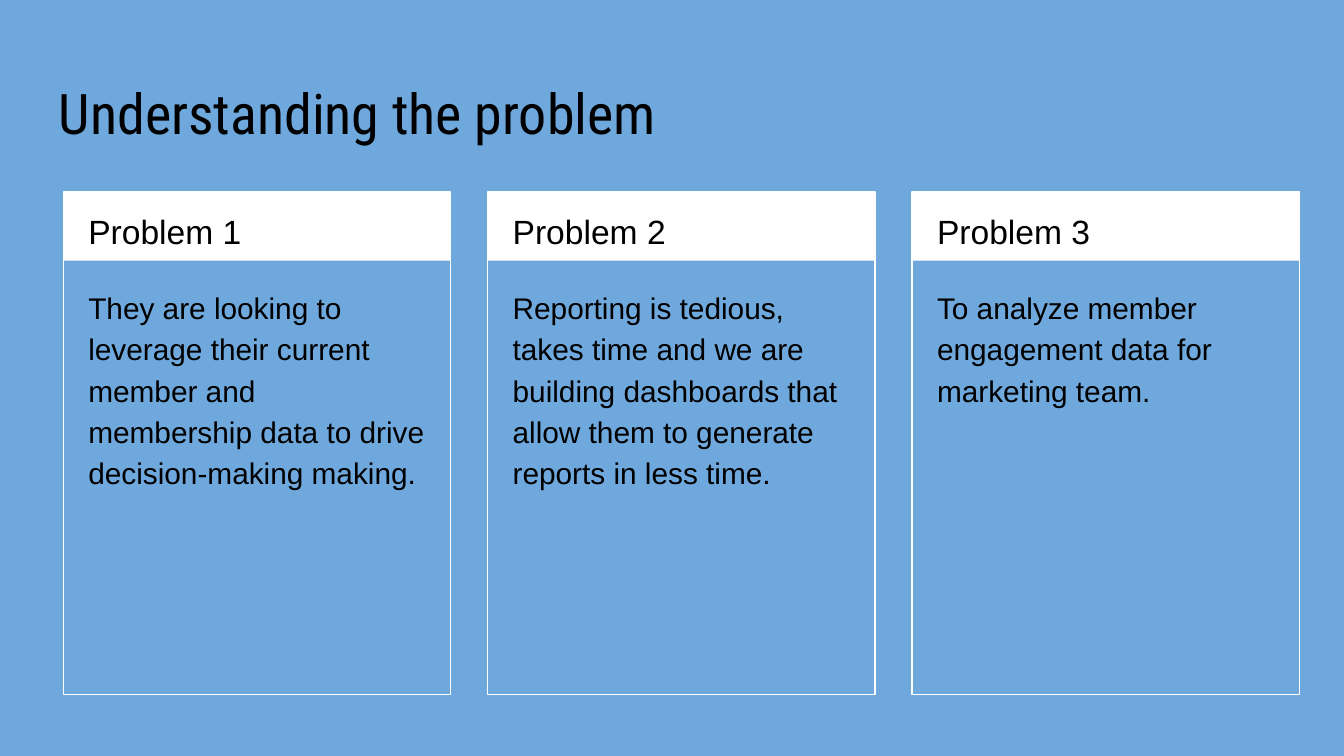
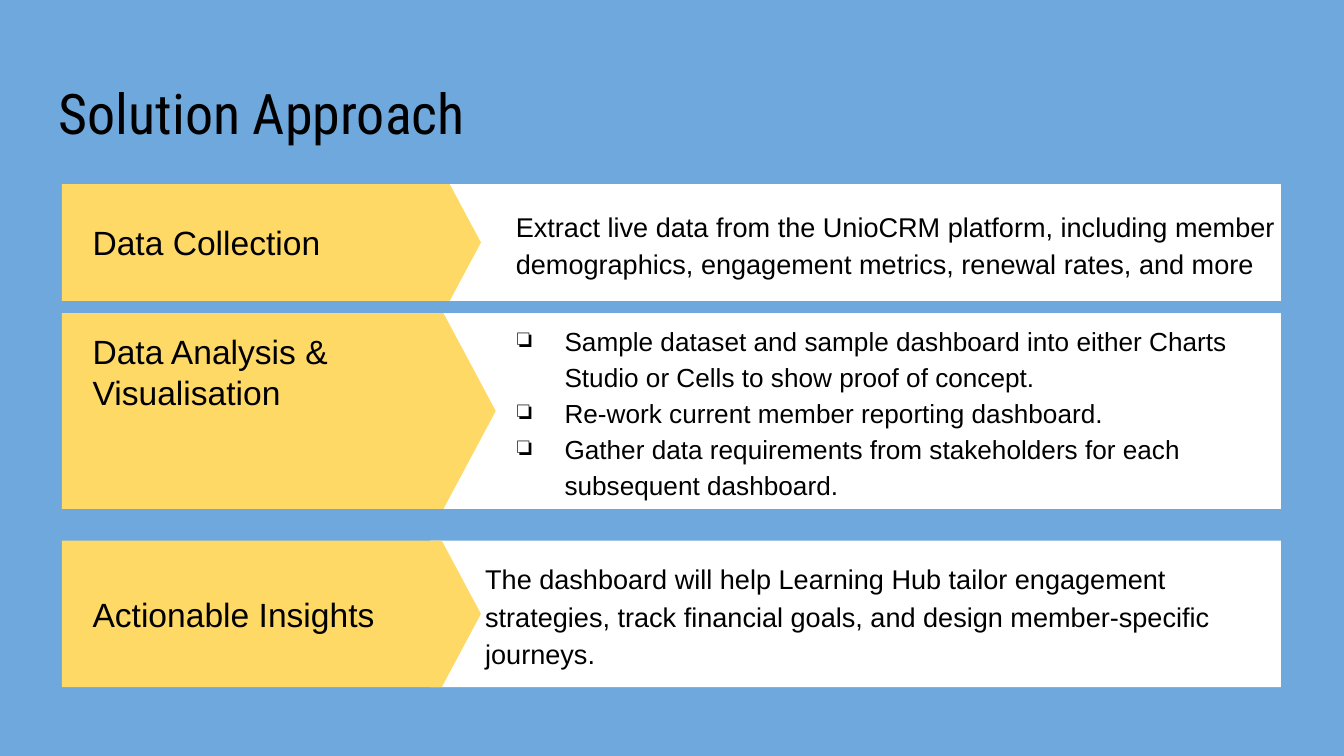
from dataclasses import dataclass

from lxml.etree import SubElement
from pptx import Presentation
from pptx.dml.color import RGBColor
from pptx.enum.shapes import MSO_SHAPE
from pptx.enum.text import MSO_ANCHOR, MSO_AUTO_SIZE, PP_ALIGN
from pptx.oxml.ns import qn
from pptx.util import Cm, Pt


@dataclass(frozen=True)
class Theme:
    back: str = "6FA8DC"
    panel: str = "FFFFFF"
    accent: str = "FFD966"
    ink: str = "000000"
    display: str = "Roboto Condensed"
    text: str = "Arial"
    title: float = 30
    head: float = 18
    body: float = 16
    note: float = 14.5
    item: float = 14
    loose: float = 1.15


THEME = Theme()

# Slide 1: heading and text of each card
PROBLEMS = [
    ("Problem 1", "They are looking to leverage their current member and "
     "membership data to drive decision-making making."),
    ("Problem 2", "Reporting is tedious, takes time and we are building "
     "dashboards that allow them to generate reports in less time."),
    ("Problem 3", "To analyze member engagement data for marketing team."),
]

# Slide 2: label, lines, top, height, arrow width, label height, text left
STEPS = [
    ("Data Collection",
     ["Extract live data from the UnioCRM platform, including member "
      "demographics, engagement metrics, renewal rates, and more"],
     3.48, 2.21, 7.92, 2.21, 9.5),
    ("Data Analysis & Visualisation",
     ["Sample dataset and sample dashboard into either Charts Studio or "
      "Cells to show proof of concept.",
      "Re-work current member reporting dashboard.",
      "Gather data requirements from stakeholders for each subsequent "
      "dashboard."],
     5.92, 3.7, 8.2, 2.21, 9.53),
    ("Actionable Insights",
     ["The dashboard will help Learning Hub tailor engagement strategies, "
      "track financial goals, and design member-specific journeys."],
     10.22, 2.77, 7.92, 2.77, 8.92),
]


def style(para, size, face=THEME.text):
    para.font.name = face
    para.font.size = Pt(size)
    para.font.color.rgb = RGBColor.from_string(THEME.ink)


def frame(shape, anchor):
    """Set even insets, wrapping and the anchor of a text frame."""
    body = shape.text_frame
    body.word_wrap = True
    body.auto_size = MSO_AUTO_SIZE.NONE
    body.vertical_anchor = anchor
    body.margin_left = body.margin_right = Cm(0.25)
    body.margin_top = body.margin_bottom = Cm(0.25)
    return body


def bullet(para, mark="❏"):
    props = para._p.get_or_add_pPr()
    props.set("marL", str(Cm(0.89)))
    props.set("indent", str(-Cm(0.89)))
    tint = SubElement(props, qn("a:buClr"))
    SubElement(tint, qn("a:srgbClr")).set("val", THEME.ink)
    SubElement(props, qn("a:buChar")).set("char", mark)


def add_text(slide, box, lines, size, anchor=MSO_ANCHOR.TOP,
             space=THEME.loose, marked=False):
    body = frame(slide.shapes.add_textbox(*map(Cm, box)), anchor)
    for i, line in enumerate(lines):
        para = body.paragraphs[0] if i == 0 else body.add_paragraph()
        para.text = line
        para.line_spacing = space
        if marked:
            bullet(para)
        style(para, size)


def add_block(slide, kind, box, fill=None, line=None):
    shape = slide.shapes.add_shape(kind, *map(Cm, box))
    shape.shadow.inherit = False
    if fill:
        shape.fill.solid()
        shape.fill.fore_color.rgb = RGBColor.from_string(fill)
    else:
        shape.fill.background()
    if line:
        shape.line.color.rgb = RGBColor.from_string(line)
        shape.line.width = Pt(0.75)
    else:
        shape.line.fill.background()
    return shape


def add_slide(deck, title):
    """Add a title-only slide with the shared title style."""
    slide = deck.slides.add_slide(deck.slide_layouts[5])
    head = slide.shapes.title
    head.left, head.top = Cm(0.86), Cm(1.24)
    head.width, head.height = Cm(23.67), Cm(1.6)
    para = frame(head, MSO_ANCHOR.TOP).paragraphs[0]
    para.text = title
    para.alignment = PP_ALIGN.LEFT
    style(para, THEME.title, THEME.display)
    return slide


def add_card(slide, left, head, text):
    top, width = 3.63, 7.32
    add_block(slide, MSO_SHAPE.RECTANGLE, (left, top, width, 1.3),
              fill=THEME.panel)
    add_block(slide, MSO_SHAPE.RECTANGLE, (left, top, width, 9.5),
              line=THEME.panel)
    inner = left + 0.22
    add_text(slide, (inner, top, 6.93, 1.27), [head], THEME.head)
    add_text(slide, (inner, top + 1.5, 6.9, 7.77), [text], THEME.body)


def add_step(slide, label, lines, top, height, reach, tall, left):
    # Panel and arrow
    add_block(slide, MSO_SHAPE.RECTANGLE, (8.13, top, 16.08, height),
              fill=THEME.panel)
    arrow = add_block(slide, MSO_SHAPE.PENTAGON, (1.17, top, reach, height),
                      fill=THEME.accent)
    arrow.adjustments[0] = 0.267
    # Label and text
    add_text(slide, (1.5, top, 6.73, tall), [label], THEME.head,
             MSO_ANCHOR.MIDDLE, 1.0)
    marked = len(lines) > 1
    size, width = (THEME.item, 14.47) if marked else (THEME.note, 15.21)
    add_text(slide, (left, top, width, height), lines, size,
             MSO_ANCHOR.MIDDLE, marked=marked)


def main():
    deck = Presentation()
    deck.slide_width, deck.slide_height = Cm(25.4), Cm(14.29)
    fill = deck.slide_master.background.fill
    fill.solid()
    fill.fore_color.rgb = RGBColor.from_string(THEME.back)

    # Three problem cards
    slide = add_slide(deck, "Understanding the problem")
    for i, (head, text) in enumerate(PROBLEMS):
        add_card(slide, 1.2 + 8.02 * i, head, text)

    # Three solution steps
    slide = add_slide(deck, "Solution Approach")
    for step in STEPS:
        add_step(slide, *step)

    deck.save("out.pptx")


if __name__ == "__main__":
    main()
